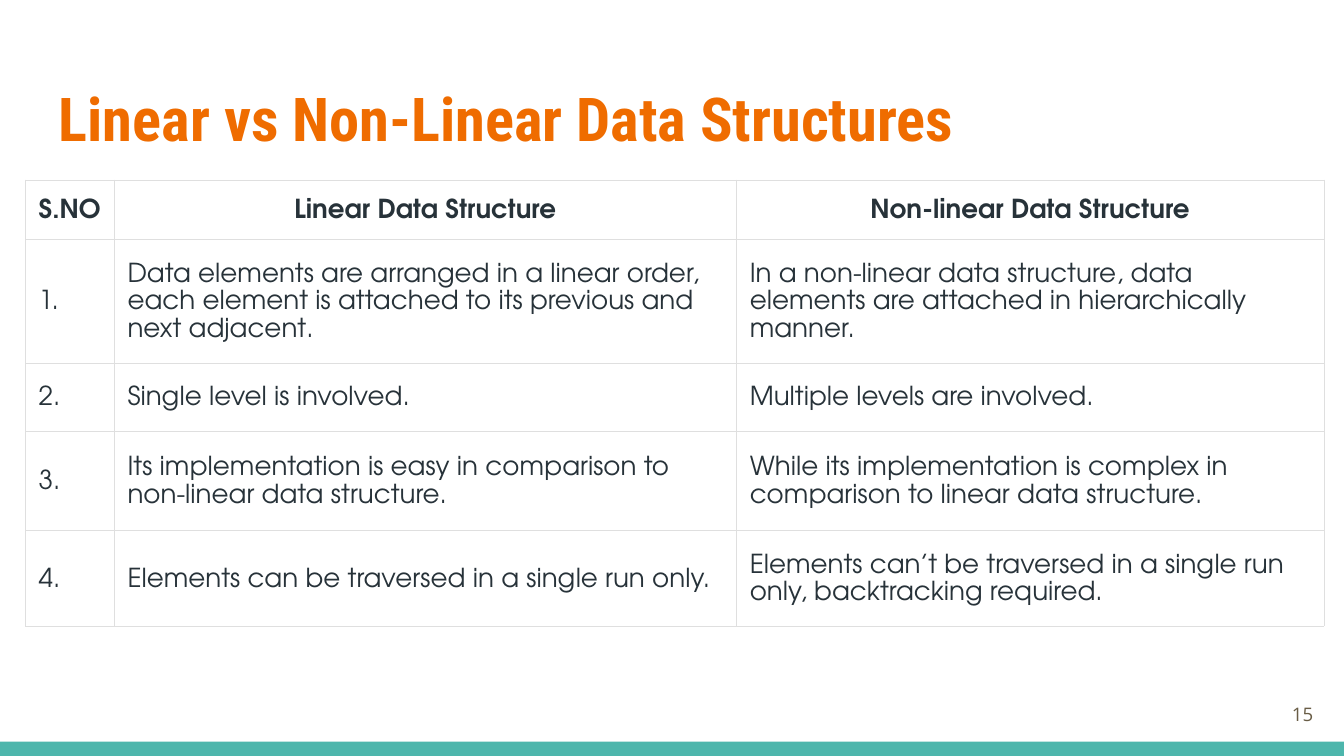
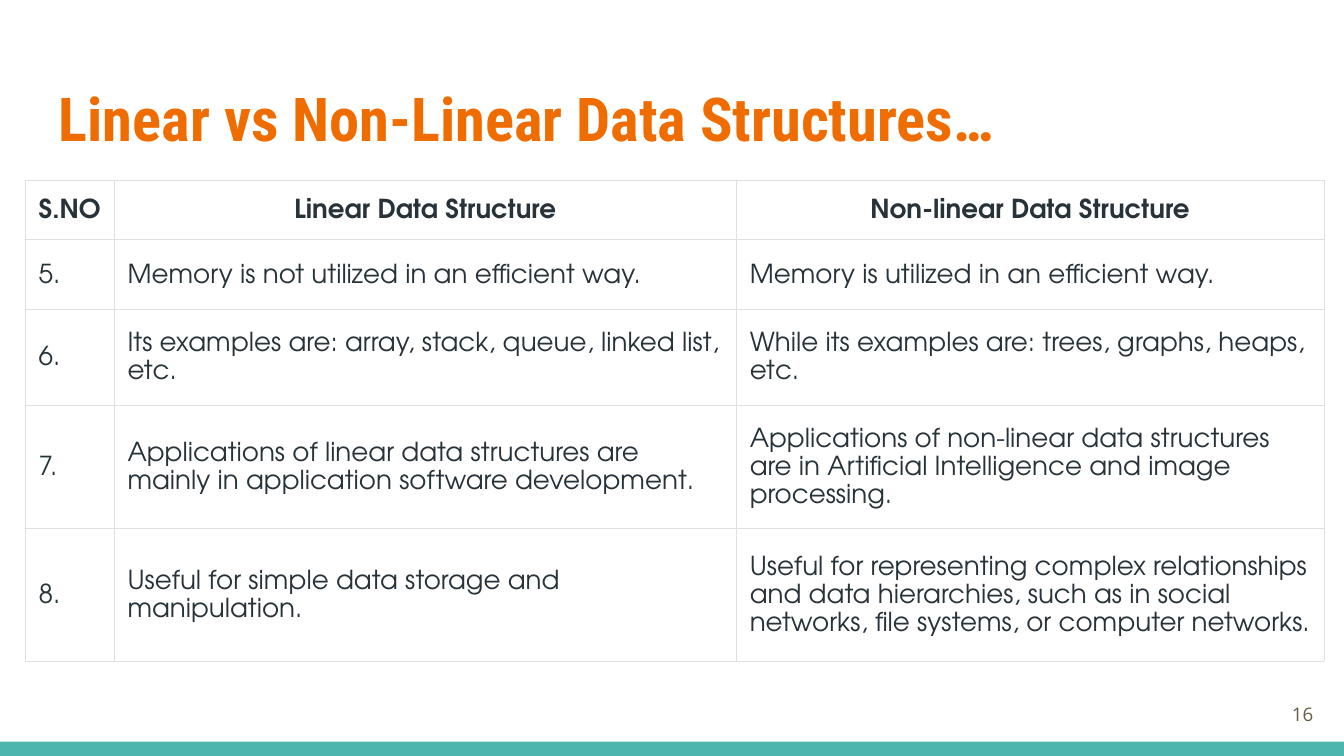
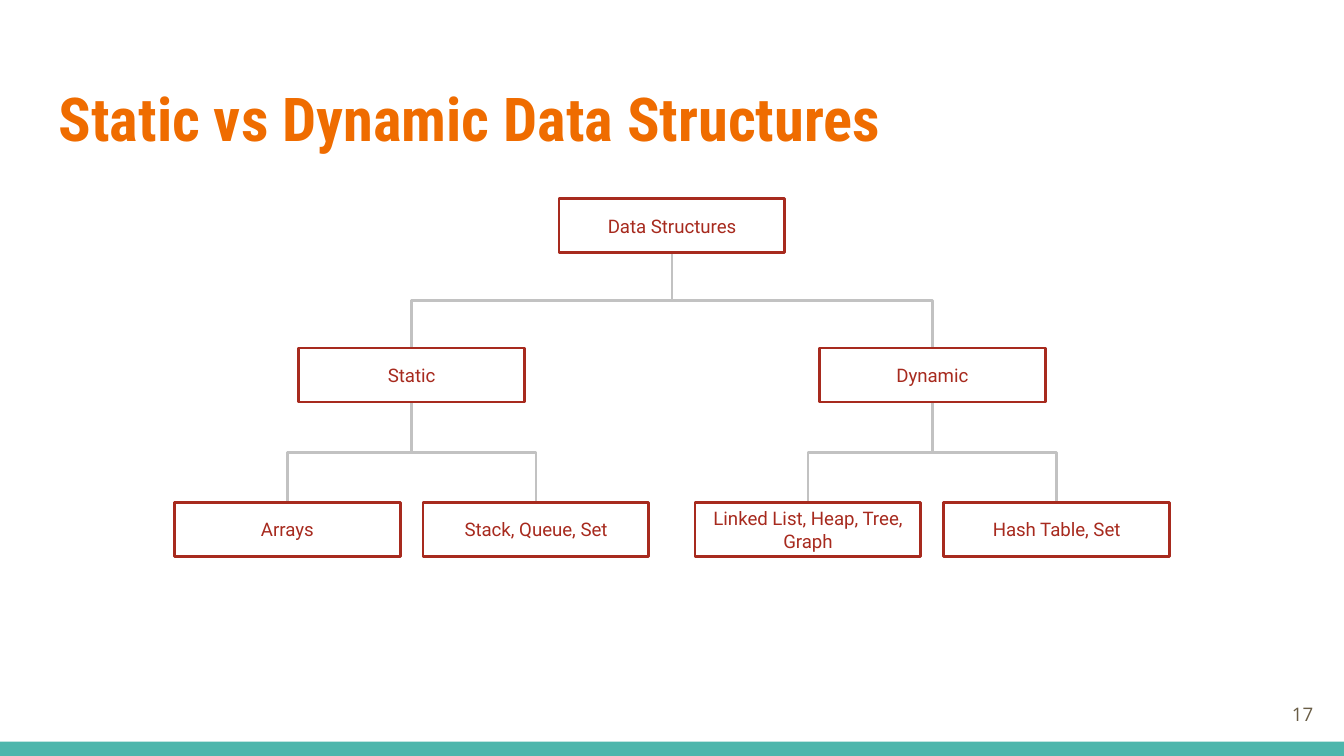
from lxml import etree
from pptx import Presentation
from pptx.dml.color import RGBColor
from pptx.enum.shapes import MSO_CONNECTOR, MSO_SHAPE
from pptx.enum.text import MSO_ANCHOR, MSO_AUTO_SIZE, PP_ALIGN
from pptx.oxml.ns import qn
from pptx.util import Cm, Pt

ELBOW = MSO_CONNECTOR.ELBOW
RECT = MSO_SHAPE.RECTANGLE
MIDDLE = MSO_ANCHOR.MIDDLE
FIXED = MSO_AUTO_SIZE.NONE
LEFT, CENTER, RIGHT = PP_ALIGN.LEFT, PP_ALIGN.CENTER, PP_ALIGN.RIGHT

COLORS = {
    "title": "EF6C00",
    "band": "4DB6AC",
    "page": "695D46",
    "cell": "273239",
    "grid": "DFDFDF",
    "box": "A72A1E",
    "link": "C2C2C2",
}
FONTS = {
    "title": "Roboto Condensed",
    "page": "Open Sans",
    "cell": "TeX Gyre Adventor",
    "box": "Roboto",
}
SIZES = {"title": 32.4, "page": 10, "cell": 14, "box": 10}

PAD = 0.25
COLS = (1.68, 11.76, 11.1)
HEADS = ("S.NO", "Linear Data Structure", "Non-linear Data Structure")
BOX_W, BOX_H = 4.27, 1.02

TABLES = [
    (
        "Linear vs Non-Linear Data Structures",
        1,
        (1.12, 1.57, 0.74, 1.88, 1.07),
        [
            ("Data elements are arranged in a linear order, each element is "
             "attached to its previous and next adjacent.",
             "In a non-linear data structure, data elements are attached in "
             "hierarchically manner."),
            ("Single level is involved.", "Multiple levels are involved."),
            ("Its implementation is easy in comparison to non-linear data "
             "structure.",
             "While its implementation is complex in comparison to linear "
             "data structure."),
            ("Elements can be traversed in a single run only.",
             "Elements can’t be traversed in a single run only, "
             "backtracking required."),
        ],
    ),
    (
        "Linear vs Non-Linear Data Structures…",
        5,
        (1.12, 1.32, 1.07, 1.88, 2.51),
        [
            ("Memory is not utilized in an efficient way.",
             "Memory is utilized in an efficient way."),
            ("Its examples are: array, stack, queue, linked list, etc.",
             "While its examples are: trees, graphs, heaps, etc."),
            ("Applications of linear data structures are mainly in "
             "application software development.",
             "Applications of non-linear data structures are in Artificial "
             "Intelligence and image processing."),
            ("Useful for simple data storage and manipulation.",
             "Useful for representing complex relationships and data "
             "hierarchies, such as in social networks, file systems, or "
             "computer networks."),
        ],
    ),
]

TREE = ("Data Structures", [
    ("Static", [("Arrays", []), ("Stack, Queue, Set", [])]),
    ("Dynamic", [("Linked List, Heap, Tree, Graph", []),
                 ("Hash Table, Set", [])]),
])
TOPS = (3.76, 6.58, 9.5)
REACH = (4.92, 2.35)


class Deck:
    """Holds the deck style and the current slide."""

    def __init__(self, first):
        self.prs = Presentation()
        self.prs.slide_width = Cm(25.4)
        self.prs.slide_height = Cm(14.29)
        self.page = first
        self.slide = None

    def color(self, key):
        return RGBColor.from_string(COLORS[key])

    def text(self, frame, words, style, align=LEFT, bold=False, space=None):
        para = frame.paragraphs[0]
        para.alignment = align
        if space:
            para.line_spacing = space
        run = para.add_run()
        run.text = words
        font = run.font
        font.name = FONTS[style]
        font.size = Pt(SIZES[style])
        font.bold = bold
        font.color.rgb = self.color(style)

    def fit(self, frame):
        frame.word_wrap = True
        frame.auto_size = FIXED
        frame.vertical_anchor = MIDDLE
        frame.margin_left = frame.margin_right = Cm(PAD)
        frame.margin_top = frame.margin_bottom = Cm(PAD)

    def band(self):
        bar = self.slide.shapes.add_shape(
            RECT, 0, Cm(14.02), self.prs.slide_width, Cm(0.27))
        bar.shadow.inherit = False
        bar.fill.solid()
        bar.fill.fore_color.rgb = self.color("band")
        bar.line.fill.background()
        self.prs.slide_master.shapes.element.append(bar.element)

    def start(self, title):
        self.slide = self.prs.slides.add_slide(self.prs.slide_layouts[5])
        if len(self.prs.slides) == 1:
            self.band()
        head = self.slide.shapes.title
        head.left, head.top = Cm(0.86), Cm(1.24)
        head.width, head.height = Cm(23.67), Cm(1.96)
        self.fit(head.text_frame)
        self.text(head.text_frame, title, "title", bold=True)

    def number(self):
        box = self.slide.shapes.add_textbox(
            Cm(23.55), Cm(12.95), Cm(1.52), Cm(1.09))
        self.fit(box.text_frame)
        self.text(box.text_frame, str(self.page), "page", RIGHT)
        self.page += 1

    def edge(self, cell):
        props = cell._tc.get_or_add_tcPr()
        for side in ("a:lnL", "a:lnR", "a:lnT", "a:lnB"):
            line = etree.SubElement(props, qn(side), w=str(Pt(0.22)))
            fill = etree.SubElement(line, qn("a:solidFill"))
            etree.SubElement(fill, qn("a:srgbClr"), val=COLORS["grid"])

    def cell(self, cell, words, head, tight):
        self.edge(cell)
        cell.fill.background()
        cell.vertical_anchor = MIDDLE
        cell.margin_left = cell.margin_right = Cm(0.1 if tight else PAD)
        cell.margin_top = cell.margin_bottom = Cm(PAD if head else 0.38)
        self.text(cell.text_frame, words, "cell",
                  CENTER if head else LEFT, head, 1.15)

    def table(self, rows, highs):
        grid = self.slide.shapes.add_table(
            len(rows), len(COLS), Cm(0.48), Cm(3.4),
            Cm(sum(COLS)), Cm(sum(highs))).table
        grid.horz_banding = False
        for col, wide in zip(grid.columns, COLS):
            col.width = Cm(wide)
        for r, (row, high) in enumerate(zip(rows, highs)):
            grid.rows[r].height = Cm(high)
            for c, words in enumerate(row):
                self.cell(grid.cell(r, c), words, r == 0, r == c == 0)

    def link(self, start, end):
        (x, y), (u, v) = start, end
        drop, span = v - y, abs(u - x)
        left = (x + u - drop) / 2
        top = (y + v - span) / 2
        ends = (left, left + drop)
        if u > x:
            ends = ends[::-1]
        line = self.slide.shapes.add_connector(
            ELBOW, Cm(ends[0]), Cm(top), Cm(ends[1]), Cm(top + span))
        line.line.color.rgb = self.color("link")
        line.line.width = Pt(1.5)
        props = line.element.spPr
        props.find(qn("a:xfrm")).set("rot", "16200000")
        etree.SubElement(props, qn("a:effectLst"))

    def box(self, words, mid, top):
        box = self.slide.shapes.add_shape(
            RECT, Cm(mid - BOX_W / 2), Cm(top), Cm(BOX_W), Cm(BOX_H))
        box.shadow.inherit = False
        box.fill.background()
        box.line.color.rgb = self.color("box")
        box.line.width = Pt(1.5)
        self.fit(box.text_frame)
        self.text(box.text_frame, words, "box", CENTER)

    def tree(self, node, mid, level=0):
        words, kids = node
        top = TOPS[level]
        for sign, kid in zip((-1, 1), kids):
            spot = mid + sign * REACH[level]
            self.link((mid, top + BOX_H), (spot, TOPS[level + 1]))
            self.tree(kid, spot, level + 1)
        self.box(words, mid, top)


def main():
    deck = Deck(15)
    for title, first, highs, pairs in TABLES:
        deck.start(title)
        rows = [(f"{n}.", *pair) for n, pair in enumerate(pairs, first)]
        deck.table([HEADS, *rows], highs)
        deck.number()
    deck.start("Static vs Dynamic Data Structures")
    deck.tree(TREE, 12.7)
    deck.number()
    deck.prs.save("out.pptx")


if __name__ == "__main__":
    main()
